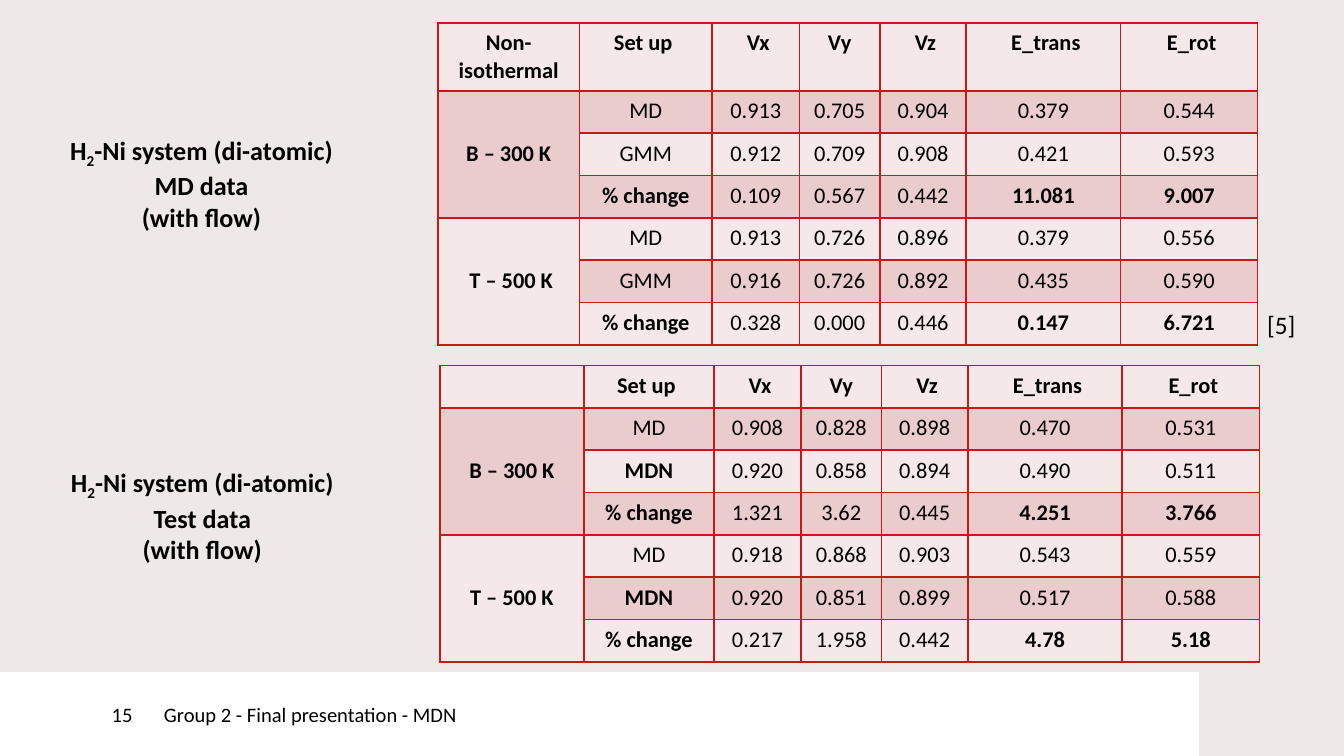
from lxml import etree
from pptx import Presentation
from pptx import util as u
from pptx.dml.color import RGBColor
from pptx.enum import shapes, text
from pptx.oxml import ns

BLACK, WHITE, BACKGROUND = "000000", "FFFFFF", "EEE8E8"
LIGHT_ROW, DARK_ROW, BORDER = "F5E8E8", "EBCCCC", "C81919"


def colour(value):
    return RGBColor.from_string(value)


class SlideBuilder:
    """Holds the text style and the current slide."""

    font_name = "Calibri"

    def __init__(self, slide):
        self.slide = slide
        slide.background.fill.solid()
        slide.background.fill.fore_color.rgb = colour(BACKGROUND)

    def run(self, paragraph, wording, size, bold=False, subscript=False):
        run = paragraph.add_run()
        run.text = wording
        run.font.name = self.font_name
        run.font.size = u.Pt(size)
        run.font.bold = bold
        run.font.color.rgb = colour(BLACK)
        if subscript:
            run.font._element.set("baseline", "-25000")

    def footer_block(self, left, width, wording, inset=0):
        shape = self.slide.shapes.add_shape(
            shapes.MSO_SHAPE.RECTANGLE, u.Cm(left), u.Cm(12.7), u.Cm(width), u.Cm(1.59))
        shape.shadow.inherit = False
        shape.fill.solid()
        shape.fill.fore_color.rgb = colour(WHITE)
        shape.line.fill.background()
        frame = shape.text_frame
        frame.margin_left = u.Cm(inset)
        frame.margin_top = frame.margin_right = frame.margin_bottom = 0
        frame.vertical_anchor = text.MSO_ANCHOR.MIDDLE
        paragraph = frame.paragraphs[0]
        paragraph.alignment = text.PP_ALIGN.LEFT
        self.run(paragraph, wording, 11)

    def text_box(self, left, top, width, height, lines, size, bold=False,
                 alignment=text.PP_ALIGN.LEFT):
        """Each line is a list of (wording, subscript) runs."""
        box = self.slide.shapes.add_textbox(u.Cm(left), u.Cm(top), u.Cm(width), u.Cm(height))
        frame = box.text_frame
        frame.word_wrap = True
        frame.auto_size = text.MSO_AUTO_SIZE.SHAPE_TO_FIT_TEXT
        for index, line in enumerate(lines):
            paragraph = frame.paragraphs[0] if index == 0 else frame.add_paragraph()
            paragraph.alignment = alignment
            for wording, subscript in line:
                self.run(paragraph, wording, size, bold, subscript)

    def system_label(self, left, top, width, data_name):
        formula = [("H", False), ("2", True), ("-Ni system (di-atomic)", False)]
        lines = [formula, [(data_name, False)], [("(with flow)", False)]]
        self.text_box(left, top, width, 2.06, lines, 14, True, text.PP_ALIGN.CENTER)

    def cell(self, cell, wording, fill, bold):
        properties = cell._tc.get_or_add_tcPr()
        for side in ("lnL", "lnR", "lnT", "lnB"):
            line = etree.SubElement(properties, ns.qn(f"a:{side}"), w=str(u.Pt(1)))
            solid = etree.SubElement(line, ns.qn("a:solidFill"))
            etree.SubElement(solid, ns.qn("a:srgbClr"), val=BORDER)
        cell.fill.solid()
        cell.fill.fore_color.rgb = colour(fill)
        paragraph = cell.text_frame.paragraphs[0]
        paragraph.alignment = text.PP_ALIGN.CENTER
        if wording:
            self.run(paragraph, wording, 12, bold)
        else:
            etree.SubElement(paragraph._p, ns.qn("a:endParaRPr"), sz="1200")

    def table(self, left, top, widths, header_height, rows):
        row_height = 0.8
        height = header_height + row_height * (len(rows) - 1)
        table = self.slide.shapes.add_table(
            len(rows), len(widths), u.Cm(left), u.Cm(top),
            u.Cm(sum(widths)), u.Cm(height)).table
        for column, width in zip(table.columns, widths):
            column.width = u.Cm(width)
        for r, values in enumerate(rows):
            table.rows[r].height = u.Cm(row_height if r else header_height)
            for c, wording in enumerate(values):
                change_row = values[1].startswith("%")
                bold = (r == 0 or c == 0 or wording == "MDN"
                        or change_row and c in (1, 5, 6))
                self.cell(table.cell(r, c), wording, DARK_ROW if r % 2 else LIGHT_ROW, bold)
        # One wall temperature spans three rows
        for first in (1, 4):
            wall = table.cell(first, 0)
            wall.merge(table.cell(first + 2, 0))
            wall.vertical_anchor = text.MSO_ANCHOR.MIDDLE


HEADINGS = ["Set up ", " Vx", "Vy", " Vz", " E_trans", " E_rot"]
SHARED_WIDTHS = [1.65, 1.52, 1.63, 2.92, 2.59]

MD_ROWS = [
    ["Non-isothermal", *HEADINGS],
    ["B – 300 K", "MD", "0.913", "0.705", "0.904", "0.379", "0.544"],
    ["", "GMM", "0.912", "0.709", "0.908", "0.421", "0.593"],
    ["", "% change", "0.109", "0.567", "0.442", "11.081", "9.007"],
    [" T – 500 K", "MD", "0.913", "0.726", "0.896", "0.379", "0.556"],
    ["", "GMM", "0.916", "0.726", "0.892", "0.435", "0.590"],
    ["", "% change", "0.328", "0.000", "0.446", "0.147", "6.721"],
]
TEST_ROWS = [
    ["", *HEADINGS],
    ["B – 300 K", "MD", "0.908", "0.828", "0.898", "0.470", "0.531"],
    ["", "MDN", "0.920", "0.858", "0.894", "0.490", "0.511"],
    ["", "% change", "1.321", "3.62", "0.445", "4.251", "3.766"],
    ["T – 500 K", "MD", "0.918", "0.868", "0.903", "0.543", "0.559"],
    ["", "MDN", "0.920", "0.851", "0.899", "0.517", "0.588"],
    ["", "% change", "0.217", "1.958", "0.442", "4.78", "5.18"],
]


def main():
    presentation = Presentation()
    presentation.slide_width = u.Cm(25.4)
    presentation.slide_height = u.Cm(14.29)
    builder = SlideBuilder(presentation.slides.add_slide(presentation.slide_layouts[6]))

    # Footer
    builder.footer_block(3.1, 19.56, "Group 2 - Final presentation - MDN")
    builder.footer_block(0, 3.1, "15", inset=2.11)

    # MD data
    builder.table(8.28, 0.43, [2.67, 2.51, *SHARED_WIDTHS], 1.28, MD_ROWS)
    builder.system_label(-0.51, 2.41, 8.64, "MD data")
    builder.text_box(23.7, 5.72, 1.7, 0.84, [[("[5]", False)]], 13.5)

    # Test data
    builder.table(8.31, 6.91, [2.73, 2.45, *SHARED_WIDTHS], 0.8, TEST_ROWS)
    builder.system_label(-0.66, 8.69, 8.97, "Test data")

    presentation.save("out.pptx")


if __name__ == "__main__":
    main()
